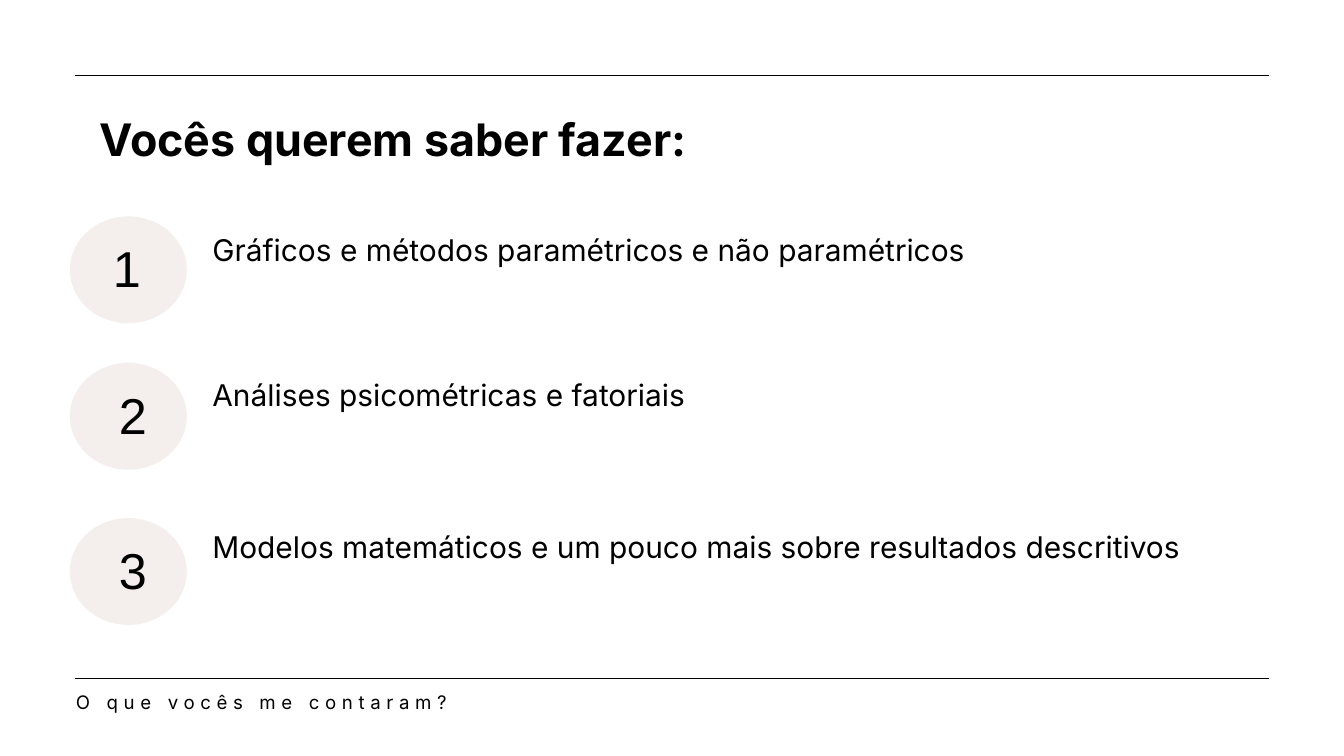
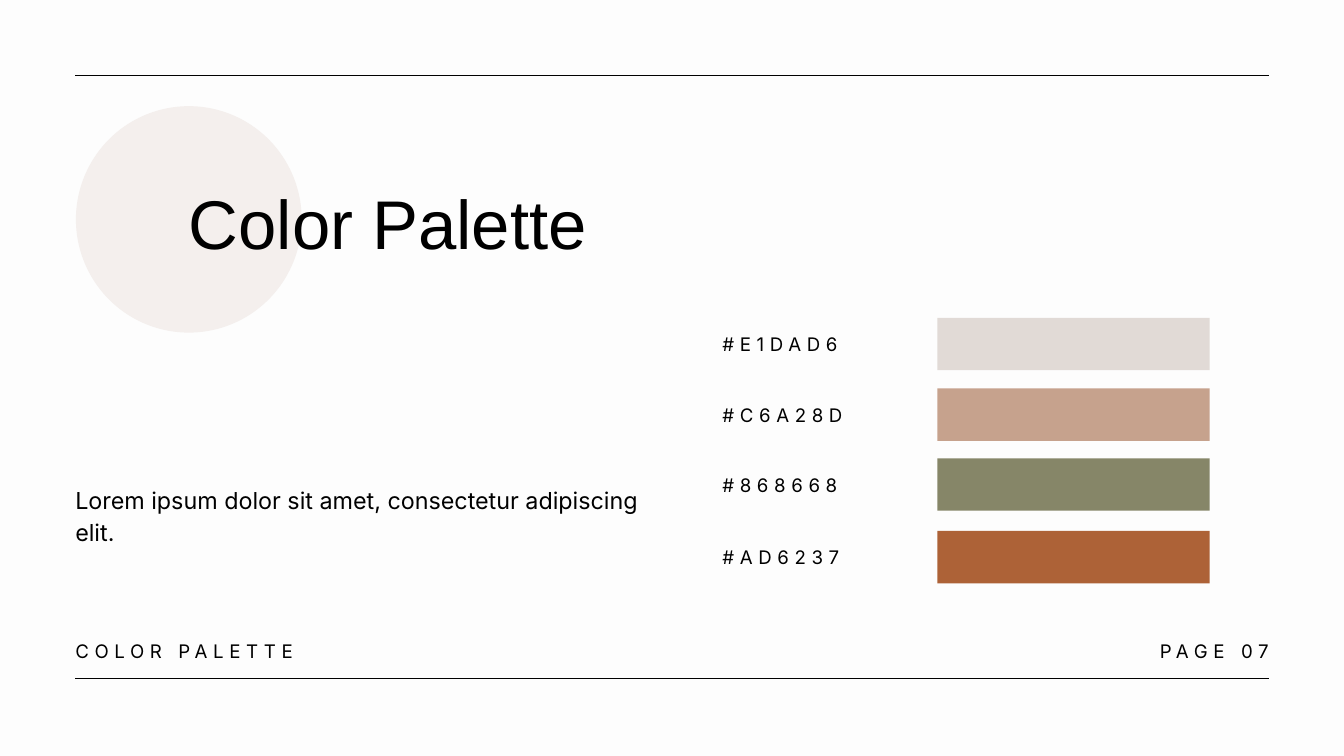
from lxml.etree import SubElement
from pptx import Presentation
from pptx.dml.color import RGBColor as RGB
from pptx.enum.shapes import MSO_CONNECTOR as Link, MSO_SHAPE as Kind
from pptx.enum.text import MSO_AUTO_SIZE as Fit, PP_ALIGN as Align
from pptx.oxml.ns import qn
from pptx.util import Pt

PX = 9144  # 100 px to the inch
WIDE, HIGH = 2000, 1125
LEFT, RIGHT = 112, 1888
HEX = {
    "ink": "000000",
    "white": "FFFFFF",
    "paper": "FDFDFD",
    "blush": "F4EFED",
    "stone": "E1DAD6",
    "sand": "C6A28D",
    "olive": "868668",
    "rust": "AD6237",
}


def tint(name):
    return RGB.from_string(HEX[name])


class Deck:
    """Holds the shared style and the current slide."""

    body, head = "Inter", "Arial"

    def __init__(self):
        self.prs = Presentation()
        self.prs.slide_width = WIDE * PX
        self.prs.slide_height = HIGH * PX

    def page(self, paper):
        """Start a slide with its background and two rules."""
        self.slide = self.prs.slides.add_slide(self.prs.slide_layouts[6])
        fill = self.slide.background.fill
        fill.solid()
        fill.fore_color.rgb = tint(paper)
        for y in (1010, 112):
            self.rule(y)

    def rule(self, y):
        line = self.slide.shapes.add_connector(
            Link.STRAIGHT, LEFT * PX, y * PX, RIGHT * PX, y * PX)
        line.line.color.rgb = tint("ink")
        line.line.width = Pt(1.5)
        SubElement(line._element.spPr, qn("a:effectLst"))

    def shape(self, kind, x, y, w, h, color):
        form = self.slide.shapes.add_shape(kind, x * PX, y * PX, w * PX, h * PX)
        form.shadow.inherit = False
        form.fill.solid()
        form.fill.fore_color.rgb = tint(color)
        form.line.fill.background()

    def text(self, x, y, w, h, words, size, font=body, bold=False,
             lead=None, track=0, align=None, pad=(0, 0)):
        box = self.slide.shapes.add_textbox(x * PX, y * PX, w * PX, h * PX)
        frame = box.text_frame
        frame.word_wrap = True
        frame.auto_size = Fit.SHAPE_TO_FIT_TEXT
        frame.margin_left = frame.margin_right = pad[0] * PX
        frame.margin_top = frame.margin_bottom = pad[1] * PX
        para = frame.paragraphs[0]
        if align:
            para.alignment = align
        if lead:
            para.line_spacing = Pt(lead)
        run = para.add_run()
        run.text = words
        run.font.name, run.font.size = font, Pt(size)
        run.font.bold = bold
        run.font.color.rgb = tint("ink")
        if track:
            run._r.get_or_add_rPr().set("spc", str(track * 100))

    def label(self, x, y, w, words, align=None):
        """Small, widely tracked caption."""
        self.text(x, y, w, 38, words, 20, lead=28, track=6, align=align)


def wishes(deck):
    deck.page("white")
    deck.text(148, 166, 1599, 148, "Vocês querem saber fazer:", 48, bold=True)

    # Numbered list: disc top, digit left, line top, words
    rows = [
        (322, 158, 345, "Gráficos e métodos paramétricos e não paramétricos"),
        (540, 167, 560, "Análises psicométricas e fatoriais"),
        (771, 167, 786, "Modelos matemáticos e um pouco mais sobre "
                        "resultados descritivos"),
    ]
    for num, (top, x, y, words) in enumerate(rows, 1):
        deck.shape(Kind.OVAL, 104, top, 174, 159, "blush")
        deck.text(x, top + 26, 79, 101, str(num), 54, deck.head, pad=(10, 5))
        deck.text(316, y, 1572, 54, words, 32)

    # Footer
    deck.label(113, 1023, 1271, "O que vocês me contaram?")


def palette(deck):
    deck.page("paper")

    # Title over a disc
    deck.shape(Kind.OVAL, 113, 158, 336, 337, "blush")
    deck.text(281, 249, 1040, 140, "Color Palette", 73.8, deck.head, lead=103.3)
    deck.text(LEFT, 716, 888, 94,
              "Lorem ipsum dolor sit amet, consectetur adipiscing elit.",
              25, lead=35)

    # Swatches with their codes
    tops = {"stone": 473, "sand": 578, "olive": 682, "rust": 790}
    for name, top in tops.items():
        deck.shape(Kind.RECTANGLE, 1395, top, 405, 78, name)
        deck.label(1075, top + 17, 283, "#" + HEX[name])

    # Footer
    deck.label(LEFT, 947, 401, "COLOR PALETTE")
    deck.label(1564, 947, 324, "PAGE 07", Align.RIGHT)


def main():
    deck = Deck()
    wishes(deck)
    palette(deck)
    deck.prs.save("out.pptx")


if __name__ == "__main__":
    main()
